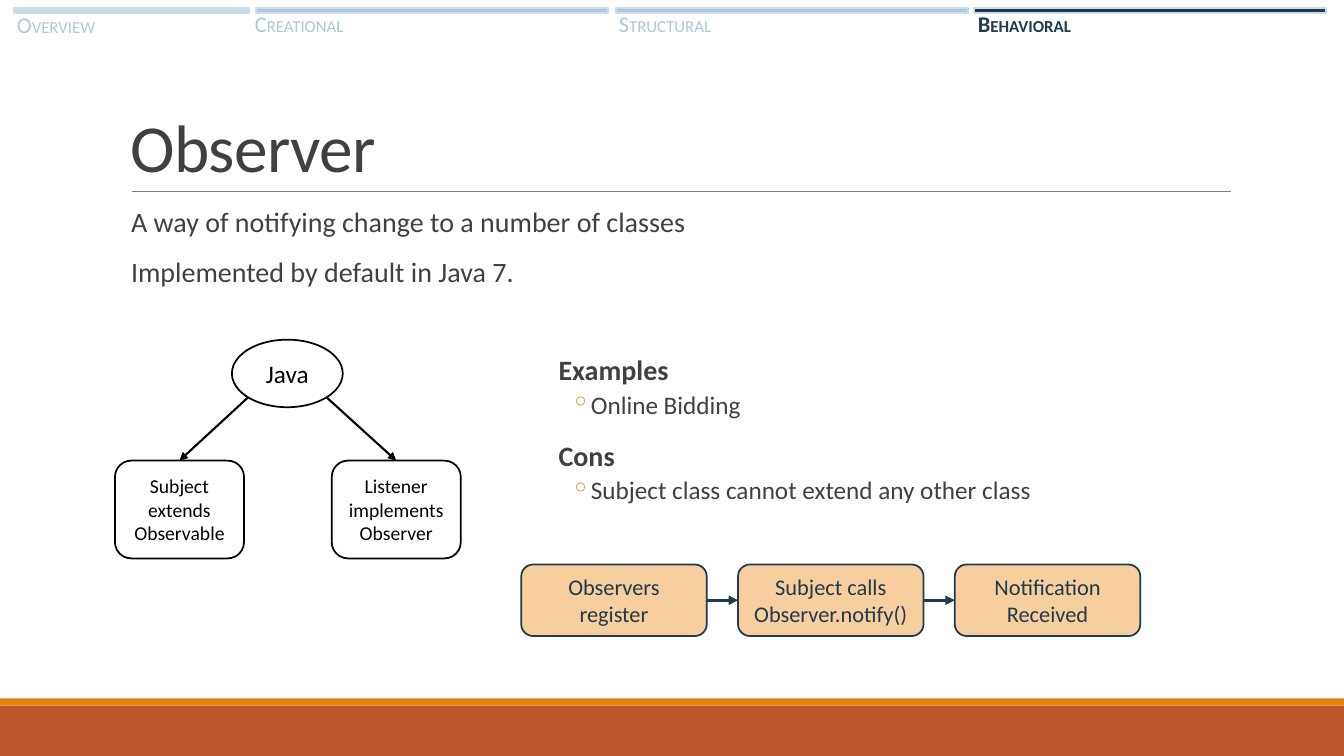
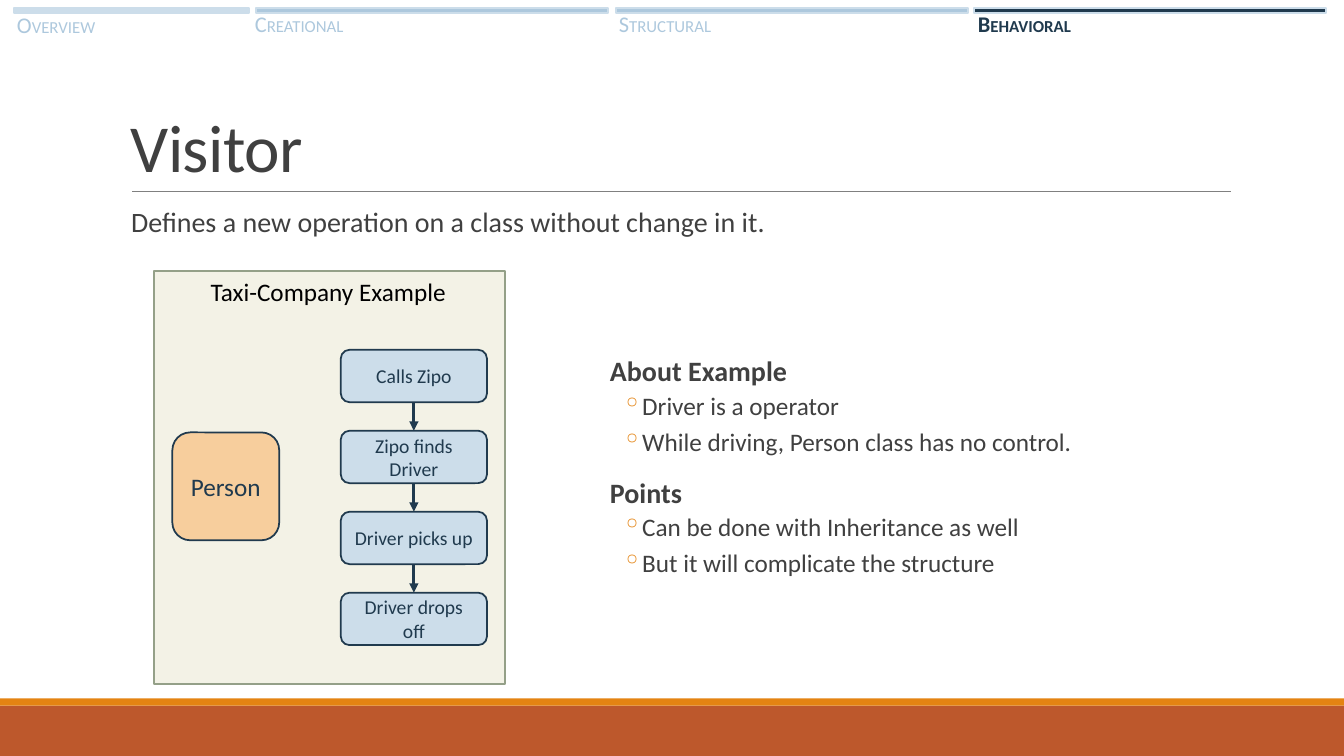
from dataclasses import dataclass
from math import cos, pi, sin

from pptx import Presentation
from pptx.dml.color import RGBColor
from pptx.enum.shapes import MSO_CONNECTOR as Link, MSO_SHAPE as Shape
from pptx.enum.text import MSO_ANCHOR as Anchor, MSO_AUTO_SIZE as AutoSize, PP_ALIGN as Align
from pptx.oxml.ns import qn
from pptx.util import Inches, Pt
from lxml.etree import SubElement

TOP, LEFT, BOTTOM, RIGHT = 0, 1, 2, 3


@dataclass(frozen=True)
class Theme:
    font: str = "Calibri"
    text: str = "404040"
    black: str = "000000"
    white: str = "FFFFFF"
    rule: str = "808080"
    rust: str = "BD582C"
    orange: str = "E48312"
    peach: str = "F7CE9D"
    navy: str = "203A4E"
    blue: str = "ADC8DD"
    pale_blue: str = "CCDDEA"
    cream: str = "F3F2E6"
    sage: str = "94A088"
    title: int = 48
    heading: int = 20
    body: int = 18
    step: int = 16
    small: int = 14
    tab: int = 12
    outline: float = 1.25
    arrow: float = 2.25


THEME = Theme()

# Content: tabs are (word, bar left, bar width, label left, label top, label width)
TABS = [
    ("OVERVIEW", 0.14, 2.33, 0.07, 0.06, 1.01),
    ("CREATIONAL", 2.54, 3.49, 2.43, 0.05, 1.11),
    ("STRUCTURAL", 6.11, 3.49, 6.04, 0.05, 1.15),
    ("BEHAVIORAL", 9.66, 3.49, 9.6, 0.05, 1.14),
]
CURRENT_TAB = "BEHAVIORAL"

OBSERVER = {
    "title": "Observer",
    "intro": ["A way of notifying change to a number of classes",
              "Implemented by default in Java 7."],
    "points": [("Examples", ["Online Bidding"]),
               ("Cons", ["Subject class cannot extend any other class"])],
    "root": "Java",
    "children": ["Subject extends Observable", "Listener implements\nObserver"],
    "steps": ["Observers register", "Subject calls Observer.notify()",
              "Notification Received"],
}
VISITOR = {
    "title": "Visitor",
    "intro": ["Defines a new operation on a class without change in it."],
    "points": [("About Example", ["Driver is a operator",
                                  "While driving, Person class has no control."]),
               ("Points", ["Can be done with Inheritance as well",
                           "But it will complicate the structure"])],
    "example": "Taxi-Company Example",
    "actor": "Person",
    "steps": ["Calls Zipo", "Zipo finds Driver", "Driver picks up", "Driver drops off"],
}


# Drawing helpers
def rgb(color):
    return RGBColor.from_string(color)


def inches(box):
    return [Inches(length) for length in box]


def spread(first, last, count):
    """Evenly spaced positions from first to last."""
    return [first + i * (last - first) / (count - 1) for i in range(count)]


def style(run, size, color, bold=False):
    run.font.name = THEME.font
    run.font.size = Pt(size)
    run.font.color.rgb = rgb(color)
    run.font.bold = bold


def add_node(slide, kind, box, fill, line=None, text="", size=THEME.body, color=THEME.navy):
    node = slide.shapes.add_shape(kind, *inches(box))
    node.shadow.inherit = False
    node.fill.solid()
    node.fill.fore_color.rgb = rgb(fill)
    if line:
        node.line.color.rgb = rgb(line)
        node.line.width = Pt(THEME.outline)
    else:
        node.line.fill.background()
    if text:
        frame = node.text_frame
        frame.text = text
        frame.word_wrap = True
        frame.vertical_anchor = Anchor.MIDDLE
        for paragraph in frame.paragraphs:
            paragraph.alignment = Align.CENTER
            style(paragraph.runs[0], size, color)
    return node


def add_line(slide, start, end, color, width, arrow=False):
    line = slide.shapes.add_connector(Link.STRAIGHT, *inches(start + end))
    line.line.color.rgb = rgb(color)
    line.line.width = Pt(width)
    if arrow:
        SubElement(line.line._get_or_add_ln(), qn("a:tailEnd"), type="triangle")
    SubElement(line._element.spPr, qn("a:effectLst"))
    return line


def add_chain(slide, boxes, labels, fill, size, exit_side, entry_side):
    """Rounded steps, each joined to the next by an arrow."""
    steps = [add_node(slide, Shape.ROUNDED_RECTANGLE, box, fill, THEME.navy, label, size)
             for box, label in zip(boxes, labels)]
    for before, after in zip(steps, steps[1:]):
        arrow = add_line(slide, (0, 0), (0, 0), THEME.navy, THEME.arrow, arrow=True)
        arrow.begin_connect(before, exit_side)
        arrow.end_connect(after, entry_side)


def add_label(slide, box, text):
    """One-line text box that fits its text."""
    frame = slide.shapes.add_textbox(*inches(box)).text_frame
    frame.word_wrap = False
    frame.auto_size = AutoSize.SHAPE_TO_FIT_TEXT
    paragraph = frame.paragraphs[0]
    paragraph.text = text
    return paragraph


def add_outline(slide, box, sections):
    """Headings with bulleted items; a section is (heading, items)."""
    frame = slide.shapes.add_textbox(*inches(box)).text_frame
    frame.word_wrap = True
    frame.margin_left = frame.margin_right = 0
    rows = []
    for heading, items in sections:
        rows += [(heading, False)] + [(item, True) for item in items]
    frame.text = "\n".join(text for text, _ in rows)
    for paragraph, (_, is_item) in zip(frame.paragraphs, rows):
        paragraph.line_spacing = 0.9
        paragraph.space_before = Pt(2 if is_item else 12)
        paragraph.space_after = Pt(4 if is_item else 2)
        props = paragraph._p.get_or_add_pPr()
        props.set("marL", str(Inches(0.42 if is_item else 0.1)))
        if is_item:
            paragraph.level = 1
            props.set("indent", str(Inches(-0.2)))
            SubElement(SubElement(props, qn("a:buClr")), qn("a:srgbClr"), val=THEME.orange)
            SubElement(props, qn("a:buChar"), char="◦")
        style(paragraph.runs[0], THEME.body if is_item else THEME.heading, THEME.text)
    return frame


def add_points(slide, box, sections):
    for paragraph in add_outline(slide, box, sections).paragraphs:
        paragraph.runs[0].font.bold = paragraph.level == 0


# Shared frame: footer bands, title, rule, intro and section tabs
def add_tabs(slide):
    for word, bar_left, bar_width, left, top, width in TABS:
        current = word == CURRENT_TAB
        color = THEME.navy if current else THEME.blue
        bar = THEME.pale_blue if word == TABS[0][0] else color
        add_node(slide, Shape.RECTANGLE, (bar_left, 0.08, bar_width, 0.05),
                 bar, THEME.pale_blue)
        paragraph = add_label(slide, (left, top, width, 0.37), word[0])
        paragraph.add_run().text = word[1:]
        for run, size in zip(paragraph.runs, (THEME.step, THEME.tab)):
            style(run, size, color, current)


def add_framed_slide(deck, content):
    slide = deck.slides.add_slide(deck.slide_layouts[6])
    add_node(slide, Shape.RECTANGLE, (0, 7, 13.33, 0.5), THEME.rust)
    add_node(slide, Shape.RECTANGLE, (0, 6.93, 13.33, 0.07), THEME.orange)
    add_line(slide, (1.31, 1.9), (12.21, 1.9), THEME.rule, 0.5)

    title = slide.shapes.add_textbox(*inches((1.2, 0.31, 11, 1.59))).text_frame
    title.word_wrap = True
    title.vertical_anchor = Anchor.BOTTOM
    title.text = content["title"]
    title.paragraphs[0].line_spacing = 0.85
    run = title.paragraphs[0].runs[0]
    style(run, THEME.title, THEME.text)
    run.font._element.set("spc", "-50")

    add_outline(slide, (1.2, 2.02, 11, 0.56), [(line, []) for line in content["intro"]])
    add_tabs(slide)
    return slide


def build_observer(deck):
    slide = add_framed_slide(deck, OBSERVER)
    add_points(slide, (5.44, 3.49, 5.98, 2.09), OBSERVER["points"])

    # Class tree: arrows leave the ellipse at its lower diagonals
    left, top, width, height = root_box = (2.3, 3.37, 1.1, 0.67)
    add_node(slide, Shape.OVAL, root_box, THEME.white, THEME.black,
             OBSERVER["root"], THEME.body, THEME.black)
    for child_left, angle, label in zip((1.14, 3.29), (3 * pi / 4, pi / 4),
                                        OBSERVER["children"]):
        child = add_node(slide, Shape.ROUNDED_RECTANGLE, (child_left, 4.57, 1.28, 0.97),
                         THEME.white, THEME.black, label, THEME.small, THEME.black)
        start = (left + width / 2 * (1 + cos(angle)), top + height / 2 * (1 + sin(angle)))
        arrow = add_line(slide, start, start, THEME.black, 1.5, arrow=True)
        arrow.end_connect(child, TOP)

    # Notification flow
    boxes = [(x, 5.6, 1.84, 0.71) for x in spread(5.17, 9.47, len(OBSERVER["steps"]))]
    add_chain(slide, boxes, OBSERVER["steps"], THEME.peach, THEME.step, RIGHT, LEFT)


def build_visitor(deck):
    slide = add_framed_slide(deck, VISITOR)
    add_points(slide, (5.95, 3.5, 5.27, 2.78), VISITOR["points"])

    # Example panel
    add_node(slide, Shape.RECTANGLE, (1.53, 2.69, 3.48, 4.1), THEME.cream, THEME.sage)
    caption = add_label(slide, (1.99, 2.69, 2.56, 0.4), VISITOR["example"])
    style(caption.runs[0], THEME.body, THEME.black)
    add_node(slide, Shape.ROUNDED_RECTANGLE, (1.71, 4.29, 1.06, 1.07),
             THEME.peach, THEME.navy, VISITOR["actor"])
    boxes = [(3.38, y, 1.45, 0.52) for y in spread(3.47, 5.88, len(VISITOR["steps"]))]
    add_chain(slide, boxes, VISITOR["steps"], THEME.pale_blue, THEME.small, BOTTOM, TOP)


def main():
    deck = Presentation()
    deck.slide_width, deck.slide_height = Inches(13.33), Inches(7.5)
    build_observer(deck)
    build_visitor(deck)
    deck.save("out.pptx")


if __name__ == "__main__":
    main()
